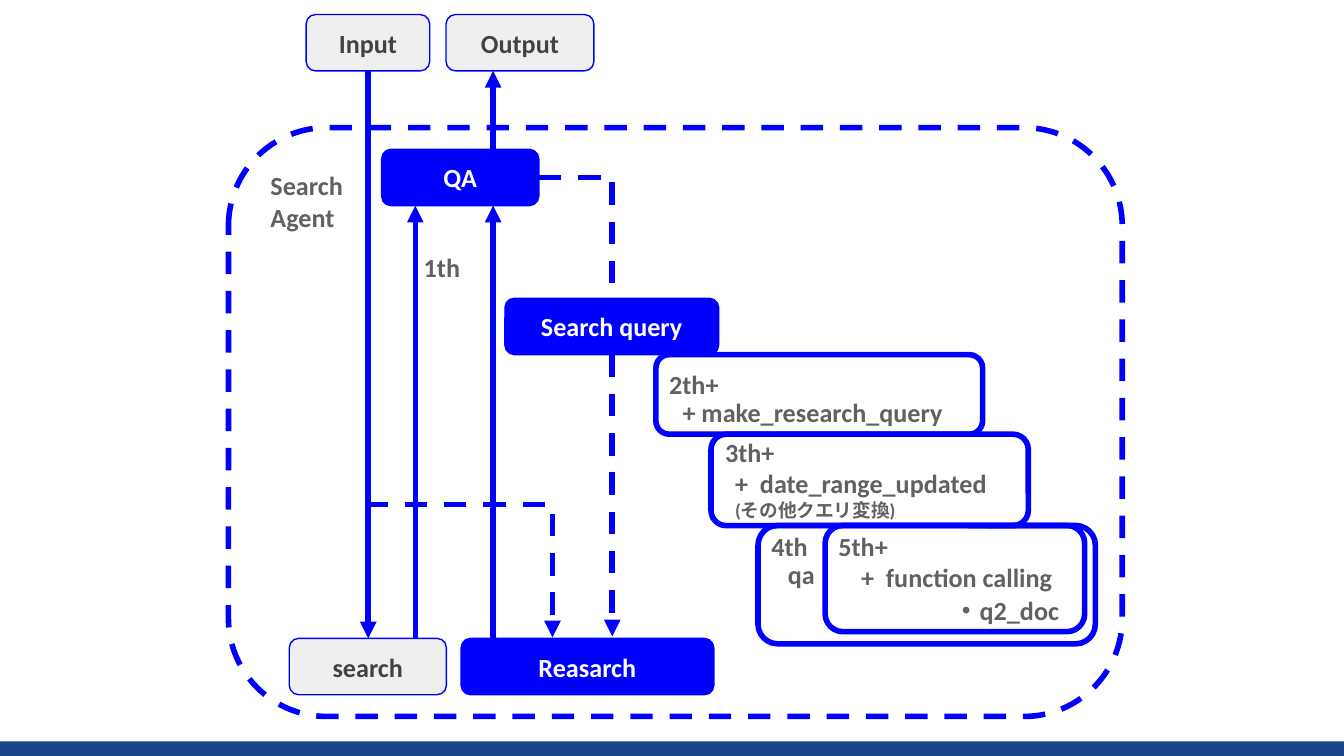
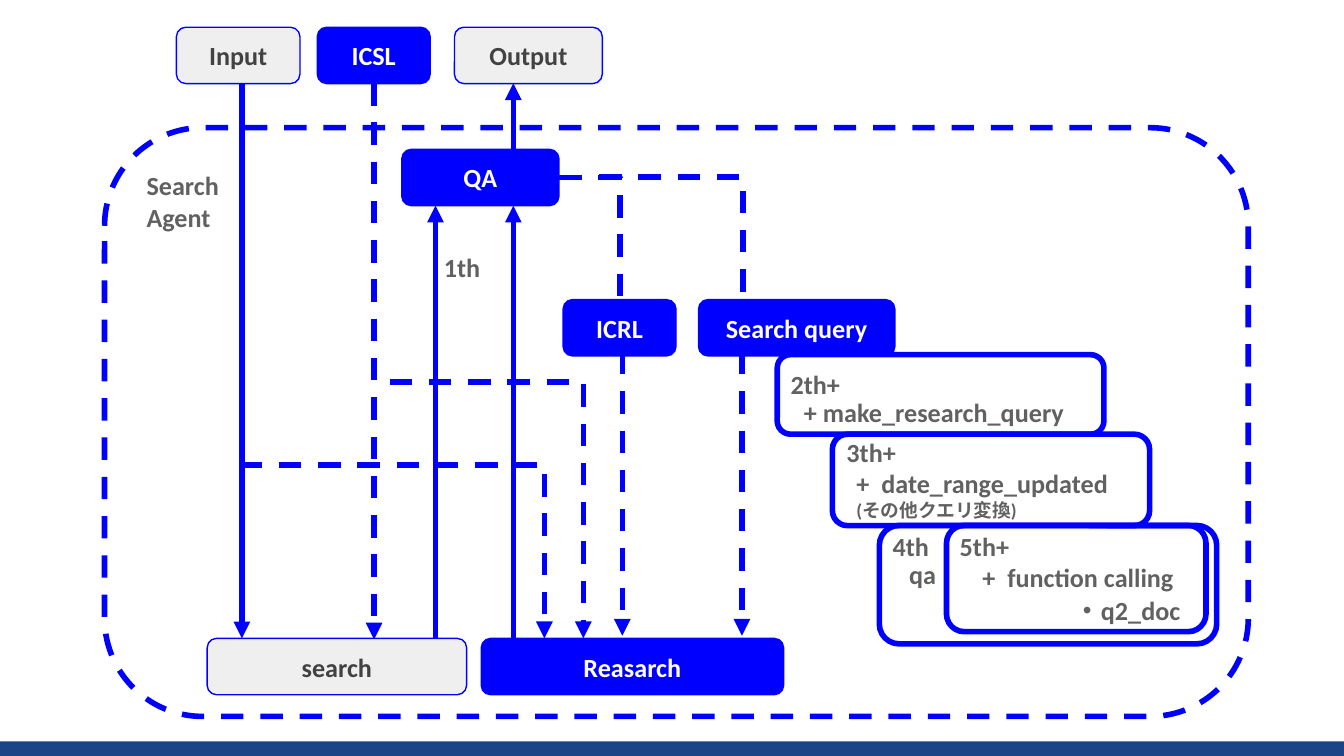
import pptx
import pptx.dml.color
import pptx.enum.dml
import pptx.enum.shapes
import pptx.enum.text
import pptx.oxml.ns
import pptx.oxml.xmlchemy
import pptx.util

Pt = pptx.util.Pt
SHAPES = pptx.enum.shapes.MSO_SHAPE
ALIGN = pptx.enum.text.PP_ALIGN
ANCHOR = pptx.enum.text.MSO_ANCHOR

BLUE, GREY, WHITE, NAVY = "0000FF", "EFEFEF", "FFFFFF", "1C4587"
DARK_TEXT, GREY_TEXT = "424242", "616161"
NODE_HEIGHT = 30.2
QA_WIDTH = 84.2
QA_TOP = 80
BOTTOM_ROW = 342


def color(hex_string):
    return pptx.dml.color.RGBColor.from_string(hex_string)


def add_xml(parent, tag, **attributes):
    child = pptx.oxml.xmlchemy.OxmlElement(tag)
    for name, value in attributes.items():
        child.set(name, str(value))
    parent.append(child)
    return child


def style_line(line, line_color, width, dashed=False):
    line.color.rgb = color(line_color)
    line.width = Pt(width)
    if dashed:
        line.dash_style = pptx.enum.dml.MSO_LINE.DASH


def write(shape, lines, text_color=GREY_TEXT, align=ALIGN.LEFT, anchor=ANCHOR.MIDDLE):
    """Write (text, size) lines, one paragraph each."""
    frame = shape.text_frame
    frame.word_wrap = True
    frame.vertical_anchor = anchor
    frame.margin_left = frame.margin_right = Pt(7.2)
    frame.margin_top = frame.margin_bottom = Pt(7.2)
    for index, (text, size) in enumerate(lines):
        paragraph = frame.add_paragraph() if index else frame.paragraphs[0]
        paragraph.alignment = align
        run = paragraph.add_run()
        run.text = text
        run.font.name = "Calibri"
        run.font.size = Pt(size)
        run.font.bold = True
        run.font.color.rgb = color(text_color)


def add_box(slide, box, fill=None, line=None, width=0.75, dashed=False,
            kind=SHAPES.ROUNDED_RECTANGLE):
    shape = slide.shapes.add_shape(kind, *map(Pt, box))
    shape.shadow.inherit = False
    if fill:
        shape.fill.solid()
        shape.fill.fore_color.rgb = color(fill)
    else:
        shape.fill.background()
    if line:
        style_line(shape.line, line, width, dashed)
    else:
        shape.line.fill.background()
    return shape


def add_node(slide, text, left, top, width, fill=BLUE):
    shape = add_box(slide, (left, top, width, NODE_HEIGHT), fill, BLUE)
    write(shape, [(text, 14)], WHITE if fill == BLUE else DARK_TEXT, ALIGN.CENTER)


def add_label(slide, text, left, top, width):
    label = slide.shapes.add_textbox(Pt(left), Pt(top), Pt(width), Pt(31.7))
    write(label, [(text, 14)], anchor=ANCHOR.TOP)
    label.text_frame.auto_size = pptx.enum.text.MSO_AUTO_SIZE.SHAPE_TO_FIT_TEXT


def add_line(slide, start, end, dashed=False, arrow=True, elbow=False):
    kinds = pptx.enum.shapes.MSO_CONNECTOR
    connector = slide.shapes.add_connector(
        kinds.ELBOW if elbow else kinds.STRAIGHT, *map(Pt, (*start, *end)))
    style_line(connector.line, BLUE, 3, dashed)
    if arrow:
        add_xml(connector.line._get_or_add_ln(), "a:tailEnd", type="triangle")
    add_xml(connector._element.spPr, "a:effectLst")
    return connector


def add_corner(slide, start, end):
    """Dashed line that runs right, then down."""
    connector = add_line(slide, start, end, dashed=True, arrow=False, elbow=True)
    connector._element.spPr.find(pptx.oxml.ns.qn("a:prstGeom")).set("prst", "bentConnector2")


def add_step_arrow(slide, start, end, bend):
    """Dashed arrow that runs down, right at the bend fraction, and down again."""
    connector = add_line(slide, start, end, dashed=True, elbow=True)
    across, down = end[0] - start[0], end[1] - start[1]
    connector.left = Pt((start[0] + end[0] - down) / 2)
    connector.top = Pt((start[1] + end[1] - across) / 2)
    connector.width, connector.height = Pt(down), Pt(across)
    properties = connector._element.spPr
    transform = properties.find(pptx.oxml.ns.qn("a:xfrm"))
    transform.set("rot", str(270 * 60000))
    transform.set("flipH", "1")
    geometry = properties.find(pptx.oxml.ns.qn("a:prstGeom"))
    for guides in geometry.findall(pptx.oxml.ns.qn("a:avLst")):
        geometry.remove(guides)
    guides = add_xml(geometry, "a:avLst")
    add_xml(guides, "a:gd", name="adj1", fmla=f"val {round(bend * 100000)}")


def add_frame(slide, left, width):
    frame = add_box(slide, (left, 68.4, width, 315.4), line=BLUE, width=3, dashed=True)
    write(frame, [("Search", 14), ("Agent", 14)], anchor=ANCHOR.TOP)


def add_answer_flow(slide, qa_left, output_bottom, research_width):
    """QA and Reasarch nodes with the arrows into and out of QA."""
    first_x, output_x = qa_left + 18, qa_left + 59.7
    qa_bottom = QA_TOP + NODE_HEIGHT
    add_line(slide, (output_x, QA_TOP), (output_x, output_bottom))
    add_line(slide, (first_x, BOTTOM_ROW), (first_x, qa_bottom))
    add_line(slide, (output_x, BOTTOM_ROW), (output_x, qa_bottom))
    add_label(slide, "1th", qa_left + 15.4, 127.4, 95)
    add_node(slide, "QA", qa_left, QA_TOP, QA_WIDTH)
    add_node(slide, "Reasarch", qa_left + 42.5, BOTTOM_ROW, research_width)


def add_query_steps(slide, left):
    """Staircase of query steps, placed from the left edge of the 2th+ box."""
    details = [
        ([("+ make_research_query", 14)], (6, 208.8, 175, 24.5), WHITE, ALIGN.LEFT),
        ([("+  date_range_updated", 14), ("(その他クエリ変換)", 10)],
         (34, 251.3, 170, 27.4), None, ALIGN.LEFT),
        ([("qa", 14)], (62.5, 296, 111, 23), None, ALIGN.LEFT),
        ([("+  function calling", 14)], (96, 299.5, 130.3, 19.4), WHITE, ALIGN.CENTER),
        ([("・q2_doc", 14)], (151.2, 315.4, 79.2, 23), None, ALIGN.LEFT),
    ]
    for lines, (x, top, width, height), fill, align in details:
        box = add_box(slide, (left + x, top, width, height), fill, fill)
        write(box, lines, align=align)
    labels = [("2th+", 0, 190, 95), ("3th+", 30, 226.8, 105),
              ("4th", 54.7, 277.2, 95), ("5th+", 90.7, 277.2, 48.2)]
    for text, x, top, width in labels:
        add_label(slide, text, left + x, top, width)
    outlines = [(0, 190, 175, 42.6), (29.5, 232.6, 170, 49),
                (54.7, 281.5, 180.7, 63.4), (90.7, 281.5, 139, 56.9)]
    for x, *rest in outlines:
        add_box(slide, (left + x, *rest), line=BLUE, width=3)


def draw_basic_agent(slide):
    add_frame(slide, 122.4, 478.8)
    add_line(slide, (197.3, 37.5), (197.3, BOTTOM_ROW))
    add_step_arrow(slide, (197.3, 37.5), (296, 341.5), 0.766)
    add_answer_flow(slide, 204.5, 38, 135.4)
    add_corner(slide, (288.7, 95), (328, 160))
    add_line(slide, (328, 190), (328, 341), dashed=True)
    add_node(slide, "Input", 164, 7.8, 66.2, GREY)
    add_node(slide, "Output", 239, 7.8, 79.2, GREY)
    add_node(slide, "Search query", 270.5, 159.8, 114.5)
    add_node(slide, "search", 155, BOTTOM_ROW, 84.2, GREY)
    add_query_steps(slide, 351.4)


def draw_extended_agent(slide):
    add_frame(slide, 56, 612.7)
    add_line(slide, (129.6, 37.5), (129.6, BOTTOM_ROW))
    add_step_arrow(slide, (129.6, 37.5), (291.6, BOTTOM_ROW), 0.695)
    add_line(slide, (200.4, 44.6), (200.4, 342.6), dashed=True)
    add_step_arrow(slide, (200.4, 44.6), (312.5, BOTTOM_ROW), 0.538)
    add_answer_flow(slide, 215.3, 44.6, 162)
    add_corner(slide, (299.5, 95), (332, 160.5))
    add_corner(slide, (321, 95), (398, 161))
    for x in (333.4, 397.5):
        add_line(slide, (x, 188.6), (x, 340.6), dashed=True)
    add_node(slide, "Input", 94.5, 14.6, 66.2, GREY)
    add_node(slide, "ICSL", 170, 14.6, 60.5)
    add_node(slide, "Output", 243.5, 14.6, 79.2, GREY)
    add_node(slide, "ICRL", 301.7, 160.5, 60.5)
    add_node(slide, "Search query", 374.2, 160.5, 105.2)
    add_node(slide, "search", 111, BOTTOM_ROW, 139, GREY)
    add_query_steps(slide, 416.4)


def add_bottom_band(slide, layout):
    """Place the navy band on the layout that the slides share."""
    band = add_box(slide, (0, 397.2, 720, 7.8), NAVY, kind=SHAPES.RECTANGLE)
    layout.element.cSld.spTree.append(band._element)


def main():
    presentation = pptx.Presentation()
    presentation.slide_width, presentation.slide_height = Pt(720), Pt(405)
    layout = presentation.slide_layouts.get_by_name("Blank")
    basic = presentation.slides.add_slide(layout)
    add_bottom_band(basic, layout)
    draw_basic_agent(basic)
    draw_extended_agent(presentation.slides.add_slide(layout))
    presentation.save("out.pptx")


if __name__ == "__main__":
    main()
